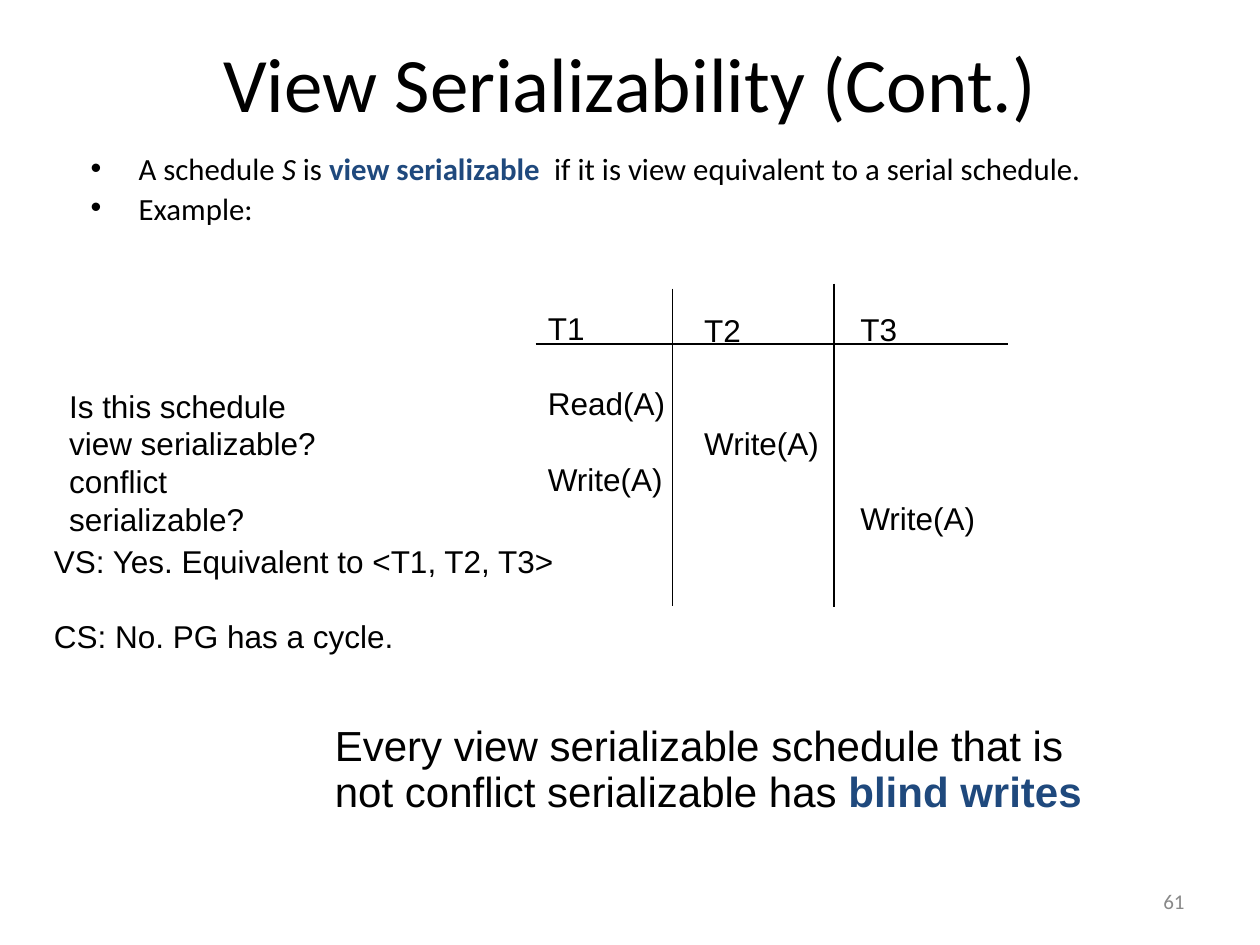
"""Build the view serializability slide with its three-transaction schedule."""
import pptx
import pptx.dml.color
import pptx.enum.shapes
import pptx.enum.text
import pptx.oxml
import pptx.oxml.ns
import pptx.util

Inches, Pt = pptx.util.Inches, pptx.util.Pt
ALIGN = pptx.enum.text.PP_ALIGN
ANCHOR = pptx.enum.text.MSO_ANCHOR
AUTO_SIZE = pptx.enum.text.MSO_AUTO_SIZE

COLORS = {"text": "000000", "term": "1F497D", "number": "898989"}
ROW_HEIGHT = 21.6
TITLE = "View Serializability (Cont.)"
BULLETS = [
    [("A schedule ", ""), ("S", "italic"), (" is ", ""),
     ("view serializable ", "term"),
     (" if it is view equivalent to a serial schedule.", "")],
    [("Example:", "")],
]
CONCLUSION = [[
    ("Every view serializable schedule that is not conflict serializable has ", ""),
    ("blind writes", "term"),
]]
# Each note or schedule column pairs its box with (row, text) entries.
ROW_BOXES = [
    ((4.25, 2.4, 1.13, 1.6), [(0, "T1"), (2, "Read(A)"), (4, "Write(A)")]),
    ((5.49, 2.42, 1.11, 1.6), [(0, "T2"), (3, "Write(A)")]),
    ((6.73, 2.41, 1.11, 1.9), [(0, "T3"), (5, "Write(A)")]),
    ((0.45, 3.02, 2.43, 1), [(0, "Is this schedule"), (1, "view serializable?"),
                             (2, "conflict serializable?")]),
    ((0.33, 4.25, 4.2, 1), [(0, "VS: Yes. Equivalent to <T1, T2, T3>"),
                            (2, "CS: No. PG has a cycle.")]),
]
GRID_LINES = [(5.34, 2.29, 5.34, 4.81), (6.62, 2.25, 6.62, 4.82), (4.25, 2.73, 8, 2.73)]


def color(name):
    return pptx.dml.color.RGBColor.from_string(COLORS[name])


def place(shape, box):
    shape.left, shape.top, shape.width, shape.height = map(Inches, box)


def format_font(font, size, name, color_name="text"):
    font.size, font.name = Pt(size), name
    font.color.rgb = color(color_name)


def fill_text(text_frame, paragraphs, size, font_name):
    text_frame.text = "\n".join("" for _ in paragraphs)
    for paragraph, runs in zip(text_frame.paragraphs, paragraphs):
        for text, style in runs:
            run = paragraph.add_run()
            run.text = text
            format_font(run.font, size, font_name, "term" if style == "term" else "text")
            run.font.bold = style == "term"
            run.font.italic = style == "italic"
    return text_frame.paragraphs


def add_text_box(slide, box, wrap=True):
    text_frame = slide.shapes.add_textbox(*map(Inches, box)).text_frame
    text_frame.word_wrap = wrap
    return text_frame


def add_row_box(slide, box, entries):
    text_frame = add_text_box(slide, box, wrap=False)
    text_frame.auto_size = AUTO_SIZE.SHAPE_TO_FIT_TEXT
    paragraphs = fill_text(text_frame, [[(text, "")] for _, text in entries], 18, "Arial")
    rows = [row for row, _ in entries]
    for paragraph, previous, row in zip(paragraphs[1:], rows, rows[1:]):
        paragraph.space_before = Pt((row - previous - 1) * ROW_HEIGHT)


def add_line(slide, ends):
    line = slide.shapes.add_connector(
        pptx.enum.shapes.MSO_CONNECTOR.STRAIGHT, *map(Inches, ends))
    line.line.color.rgb = color("text")
    line.line.width = Pt(0.75)
    properties = line._element.spPr
    properties.append(pptx.oxml.parse_xml(
        f'<a:effectLst {pptx.oxml.ns.nsdecls("a")}/>'))


def main():
    presentation = pptx.Presentation()
    presentation.slide_width, presentation.slide_height = Inches(10), Inches(7.5)
    slide = presentation.slides.add_slide(presentation.slide_layouts[1])

    title, body = slide.placeholders
    place(title, (0.5, 0.17, 9, 0.95))
    title.text_frame.text = TITLE
    title.text_frame.vertical_anchor = ANCHOR.MIDDLE
    title.text_frame.paragraphs[0].alignment = ALIGN.CENTER
    format_font(title.text_frame.paragraphs[0].runs[0].font, 44, "Calibri")

    place(body, (0.62, 1.22, 8.58, 1.16))
    body.text_frame.auto_size = AUTO_SIZE.NONE
    for index, paragraph in enumerate(fill_text(body.text_frame, BULLETS, 17.6, "Calibri")):
        paragraph.line_spacing = 0.7
        paragraph.space_before = Pt(8 if index else 0)
        properties = paragraph._p.get_or_add_pPr()
        properties.set("marL", str(Inches(0.38)))
        properties.set("indent", str(-Inches(0.38)))

    for box, entries in ROW_BOXES:
        add_row_box(slide, box, entries)
    for ends in GRID_LINES:
        add_line(slide, ends)

    conclusion = add_text_box(slide, (2.56, 5.71, 6.44, 1.22))
    fill_text(conclusion, CONCLUSION, 24, "Arial")[0].line_spacing = 0.9

    number = add_text_box(slide, (7.17, 6.95, 2.33, 0.4))
    number.vertical_anchor = ANCHOR.MIDDLE
    number.text = "61"
    number.paragraphs[0].alignment = ALIGN.RIGHT
    format_font(number.paragraphs[0].runs[0].font, 12, "Calibri", "number")

    presentation.save("out.pptx")


if __name__ == "__main__":
    main()
